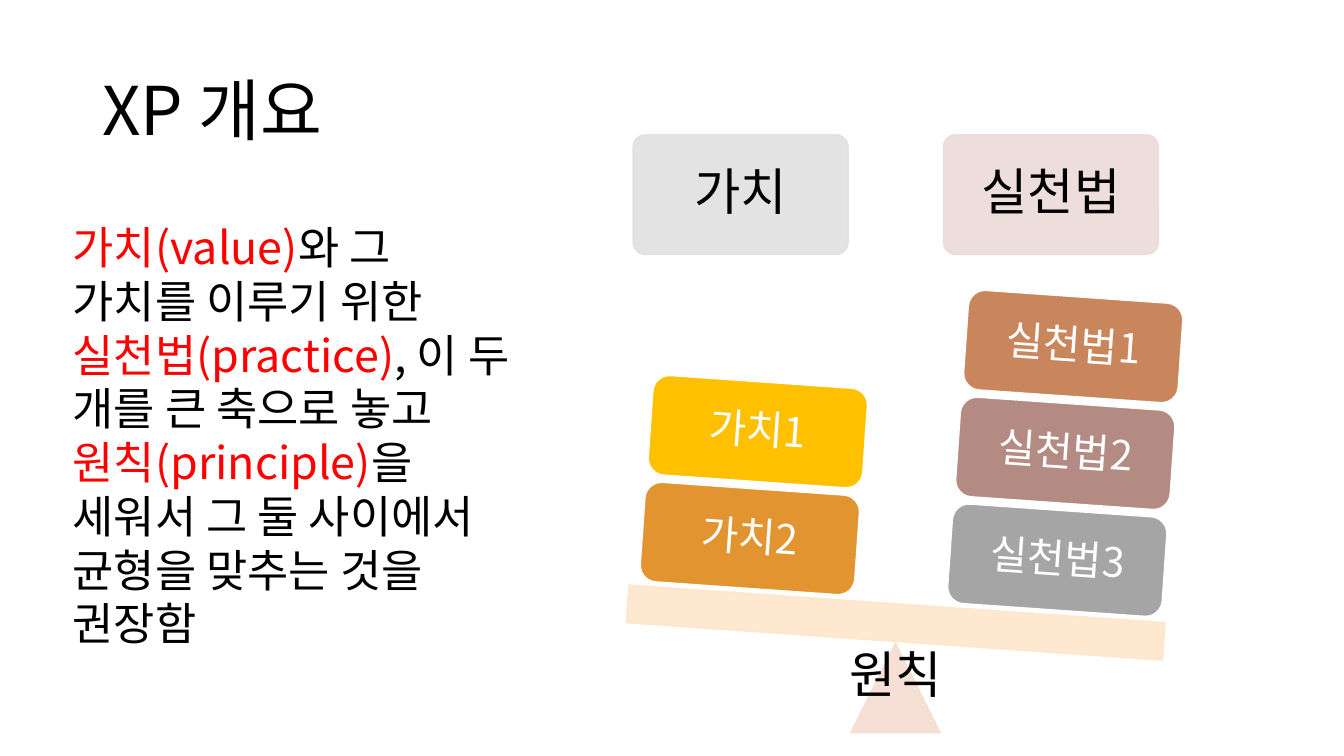
from dataclasses import dataclass

from lxml import etree
from pptx import Presentation
from pptx.dml.color import RGBColor
from pptx.enum.shapes import MSO_SHAPE
from pptx.enum.text import MSO_ANCHOR, MSO_AUTO_SIZE, PP_ALIGN
from pptx.oxml.ns import qn
from pptx.util import Pt

ROUNDED = MSO_SHAPE.ROUNDED_RECTANGLE
RECTANGLE = MSO_SHAPE.RECTANGLE
TRIANGLE = MSO_SHAPE.ISOSCELES_TRIANGLE
LEFT, CENTER = PP_ALIGN.LEFT, PP_ALIGN.CENTER
TOP, MIDDLE = MSO_ANCHOR.TOP, MSO_ANCHOR.MIDDLE
FIT_SHAPE = MSO_AUTO_SIZE.SHAPE_TO_FIT_TEXT

FONT = "Noto Sans CJK KR"
BLACK, WHITE, RED = "000000", "FFFFFF", "FF0000"
TILT = 4
BLOCK_WIDTH, BLOCK_HEIGHT = 153.6, 71.3
STEP_X, STEP_Y = 5.7, -76.3


@dataclass
class Part:
    kind: int
    left: float
    top: float
    width: float
    height: float
    fill: str
    line: str
    opacity: int = 100
    rotation: float = 0
    text: str = ""
    size: float = 0
    text_color: str = BLACK
    inset: float = 0


@dataclass
class Stack:
    left: float
    top: float
    blocks: list[tuple[str, str]]  # from the bottom up


def color(value: str) -> RGBColor:
    return RGBColor.from_string(value)


def style_paragraph(paragraph, size: float, text_color: str, align: int) -> None:
    paragraph.alignment = align
    paragraph.font.size = Pt(size)
    paragraph.font.color.rgb = color(text_color)
    paragraph.font.name = FONT
    for latin in paragraph._p.iter(qn("a:latin")):
        east_asian = etree.Element(qn("a:ea"), typeface=FONT)
        latin.addnext(east_asian)


def set_margins(frame, inset: float) -> None:
    frame.margin_left = frame.margin_right = Pt(inset)
    frame.margin_top = frame.margin_bottom = Pt(inset)


def draw_part(shapes, part: Part) -> None:
    shape = shapes.add_shape(part.kind, Pt(part.left), Pt(part.top),
                             Pt(part.width), Pt(part.height))
    shape.shadow.inherit = False
    shape.rotation = part.rotation
    if part.kind == ROUNDED:
        shape.adjustments[0] = 0.1 if part.opacity < 100 else 0.1667
    shape.fill.solid()
    shape.fill.fore_color.rgb = color(part.fill)
    shape.line.color.rgb = color(part.line)
    shape.line.width = Pt(1)
    if part.opacity < 100:
        for tone in shape._element.spPr.iter(qn("a:srgbClr")):
            etree.SubElement(tone, qn("a:alpha"), val=str(part.opacity * 1000))
    if part.text:
        frame = shape.text_frame
        frame.word_wrap = True
        frame.vertical_anchor = MIDDLE
        set_margins(frame, part.inset)
        paragraph = frame.paragraphs[0]
        paragraph.text = part.text
        paragraph.line_spacing = 0.9
        style_paragraph(paragraph, part.size, part.text_color, CENTER)


def add_text(shapes, left: float, top: float, width: float, height: float,
             runs: list[tuple[str, str]], size: float, align: int = LEFT,
             anchor: int = TOP):
    box = shapes.add_textbox(Pt(left), Pt(top), Pt(width), Pt(height))
    frame = box.text_frame
    frame.word_wrap = True
    frame.vertical_anchor = anchor
    paragraph = frame.paragraphs[0]
    style_paragraph(paragraph, size, BLACK, align)
    for words, tone in runs:
        run = paragraph.add_run()
        run.text = words
        if tone != BLACK:
            run.font.color.rgb = color(tone)
    return box


def stack_parts(stack: Stack) -> list[Part]:
    return [Part(ROUNDED, stack.left + level * STEP_X, stack.top + level * STEP_Y,
                 BLOCK_WIDTH, BLOCK_HEIGHT, fill, WHITE, rotation=TILT,
                 text=label, size=29, text_color=WHITE, inset=12)
            for level, (label, fill) in enumerate(stack.blocks)]


HEADINGS = [("가치", 452.2, "E1E1E1"), ("실천법", 673.9, "ECDBD9")]
PRACTICES = Stack(678.4, 364.5, [("실천법3", "A5A5A5"), ("실천법2", "B48B83"),
                                 ("실천법1", "C9855C")])
VALUES = Stack(458.8, 349.0, [("가치2", "E19430"), ("가치1", "FFC000")])
SUMMARY = [("가치(value)", RED), ("와 그 가치를 이루기 위한 ", BLACK),
           ("실천법(practice)", RED), (", 이 두 개를 큰 축으로 놓고 ", BLACK),
           ("원칙(principle)", RED),
           ("을 세워서 그 둘 사이에서 균형을 맞추는 것을 권장함", BLACK)]


def main() -> None:
    presentation = Presentation()
    presentation.slide_width, presentation.slide_height = Pt(960), Pt(540)
    slide = presentation.slides.add_slide(presentation.slide_layouts[6])
    shapes = slide.shapes

    # Title
    title = add_text(shapes, 66, 28.8, 828, 104.4, [("XP 개요", BLACK)], 48,
                     anchor=MIDDLE)
    title.text_frame.paragraphs[0].line_spacing = 0.9

    # Headings over the two sides of the scale
    for label, left, fill in HEADINGS:
        draw_part(shapes, Part(ROUNDED, left, 96.3, BLOCK_WIDTH, 85.4, fill, fill,
                               90, text=label, size=36, inset=13))

    # Pivot and tilted beam
    draw_part(shapes, Part(TRIANGLE, 607.7, 459.4, 64, 64, "F6DDD1", "F6DDD1", 90))
    draw_part(shapes, Part(RECTANGLE, 447.8, 431.3, 384, 26.9, "FFE6CB", "FFE6CB",
                           90, TILT))

    # Blocks resting on the beam
    for stack in (PRACTICES, VALUES):
        for block in stack_parts(stack):
            draw_part(shapes, block)

    # Pivot label and summary
    pivot_label = add_text(shapes, 532, 455.8, 216, 50.9, [("원칙", BLACK)], 36, CENTER)
    summary = add_text(shapes, 44.9, 153.4, 332, 317.5, SUMMARY, 32)
    for box in (pivot_label, summary):
        box.text_frame.auto_size = FIT_SHAPE

    presentation.save("out.pptx")


if __name__ == "__main__":
    main()
